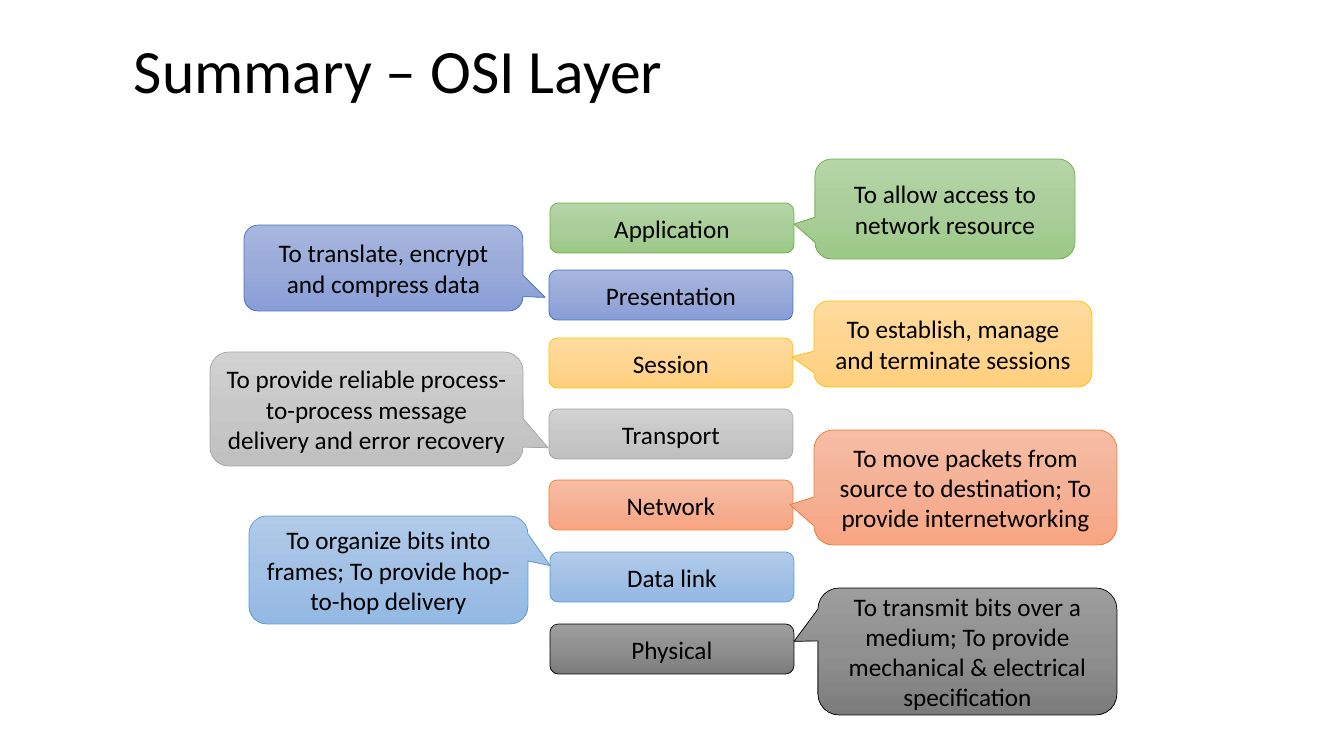
import copy
from dataclasses import dataclass, field

import pptx
import pptx.dml.color
import pptx.enum.shapes
import pptx.enum.text
import pptx.oxml.ns
import pptx.util

SHAPES = pptx.enum.shapes.MSO_SHAPE
ALIGN = pptx.enum.text.PP_ALIGN
MIDDLE = pptx.enum.text.MSO_ANCHOR.MIDDLE


@dataclass
class Theme:
    font: str = "Calibri"
    text: str = "000000"
    title_size: int = 44
    body_size: int = 18
    outline: float = 0.5
    tones: dict = field(default_factory=lambda: {
        "green": ("B5D5A7", "AACE9A", "9CC987", "70AD47"),
        "blue": ("A8B7DF", "9AABD9", "889ED7", "4472C4"),
        "gold": ("FFDB9E", "FFD590", "FFD07C", "FFC000"),
        "grey": ("D2D2D2", "C8C8C8", "C0C0C0", "A5A5A5"),
        "orange": ("F7BDA5", "F5B196", "F8A582", "ED7D31"),
        "sky": ("B1CBE9", "A3C1E5", "93B9E4", "5B9BD5"),
        "black": ("9D9D9D", "909090", "7C7C7C", "000000"),
    })


def px(length):
    return pptx.util.Emu(round(length * 914400 / 100.8))


def rgb(code):
    return pptx.dml.color.RGBColor.from_string(code)


class SlideBuilder:
    def __init__(self, slide, theme):
        self.slide = slide
        self.theme = theme

    def label(self, frame, wording, size, paragraph_format):
        for name, value in {"word_wrap": True, "vertical_anchor": MIDDLE}.items():
            setattr(frame, name, value)
        paragraph = frame.paragraphs[0]
        for name, value in paragraph_format.items():
            setattr(paragraph, name, value)
        run = paragraph.add_run()
        run.text = wording
        for name, value in {"name": self.theme.font, "size": pptx.util.Pt(size)}.items():
            setattr(run.font, name, value)
        run.font.color.rgb = rgb(self.theme.text)

    def title(self, box, wording):
        heading = self.slide.shapes.add_textbox(*map(px, box))
        self.label(heading.text_frame, wording, self.theme.title_size,
                   {"alignment": ALIGN.LEFT, "line_spacing": 0.9})

    def paint(self, block, tone):
        *shades, edge = self.theme.tones[tone]
        block.shadow.inherit = False
        block.fill.gradient()
        block.fill.gradient_angle = 270
        stops = block._element.spPr.find(".//" + pptx.oxml.ns.qn("a:gsLst"))
        stops.append(copy.deepcopy(stops[-1]))
        for stop, shade, position in zip(block.fill.gradient_stops, shades, (0, 0.5, 1)):
            stop.color.rgb = rgb(shade)
            stop.position = position
        block.line.color.rgb = rgb(edge)
        block.line.width = pptx.util.Pt(self.theme.outline)

    def block(self, kind, box, wording, tone):
        block = self.slide.shapes.add_shape(kind, *map(px, box))
        self.paint(block, tone)
        self.label(block.text_frame, wording, self.theme.body_size,
                   {"alignment": ALIGN.CENTER})
        return block

    def layer(self, left, top, wording, tone):
        self.block(SHAPES.ROUNDED_RECTANGLE, (left, top, 244, 50), wording, tone)

    def callout(self, box, tip, wording, tone):
        bubble = self.block(SHAPES.ROUNDED_RECTANGULAR_CALLOUT, box, wording, tone)
        for index, value in enumerate(tip):
            bubble.adjustments[index] = value


LAYERS = [
    (550, 203, "Application", "green"),
    (549, 270, "Presentation", "blue"),
    (549, 338, "Session", "gold"),
    (549, 409, "Transport", "grey"),
    (549, 480, "Network", "orange"),
    (550, 552, "Data link", "sky"),
    (550, 624, "Physical", "black"),
]

RIGHT_TIP = (-0.58, 0.15)
LEFT_TIP = (0.58, 0.34)
PURPOSES = [
    ((815, 159, 260, 100), RIGHT_TIP, "To allow access to network resource", "green"),
    ((244, 225, 279, 86), LEFT_TIP, "To translate, encrypt and compress data", "blue"),
    ((210, 352, 313, 114), LEFT_TIP,
     "To provide reliable process-to-process message delivery and error recovery", "grey"),
    ((814, 301, 278, 86), RIGHT_TIP, "To establish, manage and terminate sessions", "gold"),
    ((814, 430, 303, 115), RIGHT_TIP,
     "To move packets from source to destination; To provide internetworking", "orange"),
    ((818, 588, 299, 127), (-0.58, -0.08),
     "To transmit bits over a medium; To provide mechanical & electrical specification",
     "black"),
    ((249, 516, 279, 108), (0.58, -0.04),
     "To organize bits into frames; To provide hop-to-hop delivery", "sky"),
]


def main():
    deck = pptx.Presentation()
    deck.slide_width, deck.slide_height = px(1344), px(756)
    summary = SlideBuilder(deck.slides.add_slide(deck.slide_layouts[6]), Theme())
    summary.title((124, 34, 1220, 79), "Summary – OSI Layer")
    for layer in LAYERS:
        summary.layer(*layer)
    for purpose in PURPOSES:
        summary.callout(*purpose)
    deck.save("out.pptx")


if __name__ == "__main__":
    main()
